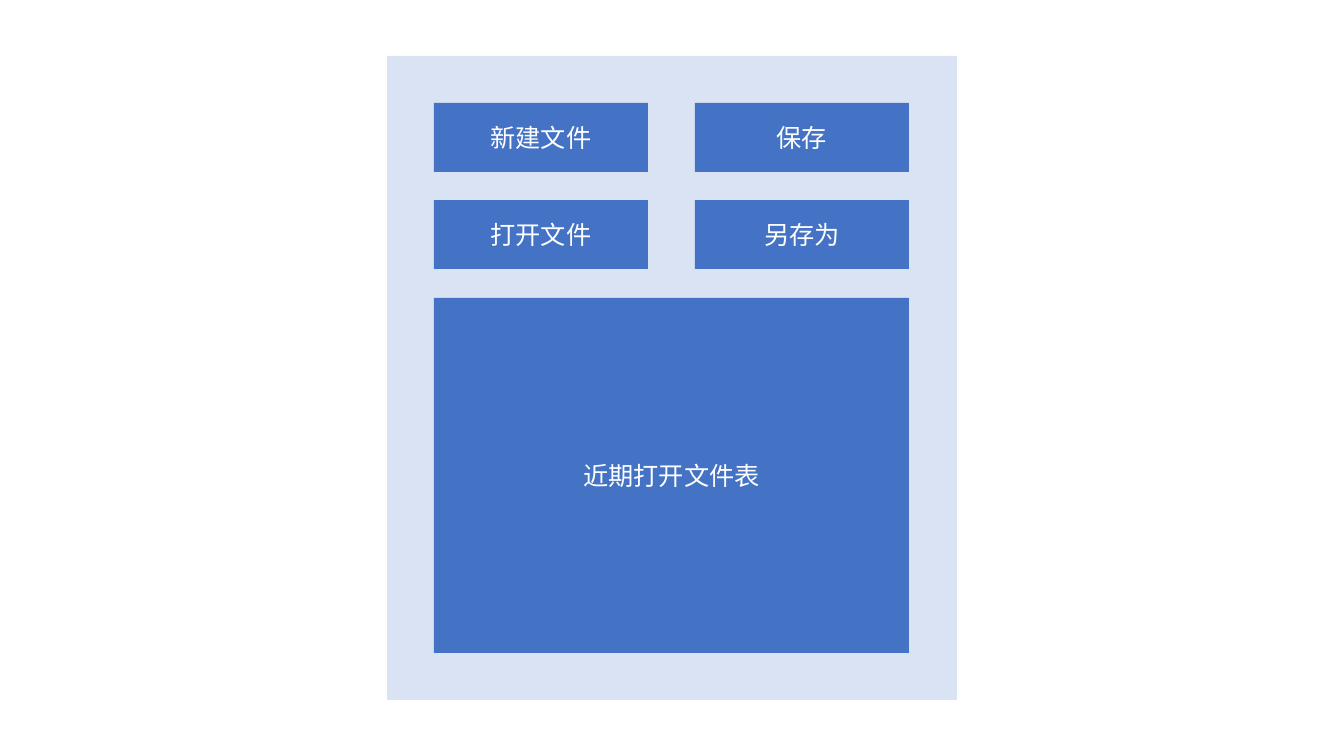
from dataclasses import dataclass

import lxml.etree
import pptx
import pptx.dml.color
import pptx.enum.shapes
import pptx.enum.text
import pptx.oxml.ns
import pptx.shapes.autoshape
import pptx.slide
import pptx.util

SLIDE_WIDTH, SLIDE_HEIGHT = 1344, 756
EMU_PER_PX = pptx.util.Inches(7.5) / SLIDE_HEIGHT

FONT_NAME = "Noto Sans CJK SC"
PANEL_COLOR = pptx.dml.color.RGBColor(0xDA, 0xE3, 0xF3)
BOX_COLOR = pptx.dml.color.RGBColor(0x44, 0x72, 0xC4)
TEXT_COLOR = pptx.dml.color.RGBColor(0xFF, 0xFF, 0xFF)

GRID_LEFT, GRID_TOP = 434, 103
COLUMN_PITCH, ROW_PITCH = 261, 97
BUTTON_WIDTH, BUTTON_HEIGHT = 214, 69
BUTTON_COLUMNS = [["新建文件", "打开文件"], ["保存", "另存为"]]


@dataclass(frozen=True)
class Box:
    left: int
    top: int
    width: int
    height: int
    color: pptx.dml.color.RGBColor = BOX_COLOR
    label: str = ""


def px(length: int) -> pptx.util.Emu:
    return pptx.util.Emu(round(length * EMU_PER_PX))


def write_label(shape: pptx.shapes.autoshape.Shape, label: str) -> None:
    frame = shape.text_frame
    frame.word_wrap = True
    frame.vertical_anchor = pptx.enum.text.MSO_ANCHOR.MIDDLE
    paragraph = frame.paragraphs[0]
    paragraph.text = label
    paragraph.alignment = pptx.enum.text.PP_ALIGN.CENTER
    paragraph.font.size = pptx.util.Pt(18)
    paragraph.font.color.rgb = TEXT_COLOR
    paragraph.font.name = FONT_NAME
    # Chinese text takes its typeface from a:ea
    properties = paragraph._p.pPr.find(pptx.oxml.ns.qn("a:defRPr"))
    lxml.etree.SubElement(properties, pptx.oxml.ns.qn("a:ea"), typeface=FONT_NAME)


def draw_box(slide: pptx.slide.Slide, box: Box) -> None:
    shape = slide.shapes.add_shape(
        pptx.enum.shapes.MSO_SHAPE.RECTANGLE,
        px(box.left), px(box.top), px(box.width), px(box.height),
    )
    shape.shadow.inherit = False
    shape.fill.solid()
    shape.fill.fore_color.rgb = box.color
    shape.line.fill.background()
    if box.label:
        write_label(shape, box.label)


def main() -> None:
    presentation = pptx.Presentation()
    presentation.slide_width = px(SLIDE_WIDTH)
    presentation.slide_height = px(SLIDE_HEIGHT)
    slide = presentation.slides.add_slide(presentation.slide_layouts[6])

    panel = Box(387, 56, 570, 644, PANEL_COLOR)
    recent_files = Box(
        GRID_LEFT, GRID_TOP + 2 * ROW_PITCH + 1,
        COLUMN_PITCH + BUTTON_WIDTH, 355, label="近期打开文件表",
    )
    buttons = [
        Box(
            GRID_LEFT + column * COLUMN_PITCH, GRID_TOP + row * ROW_PITCH,
            BUTTON_WIDTH, BUTTON_HEIGHT, label=label,
        )
        for column, labels in enumerate(BUTTON_COLUMNS)
        for row, label in enumerate(labels)
    ]
    for box in [panel, recent_files, *buttons]:
        draw_box(slide, box)

    presentation.save("out.pptx")


if __name__ == "__main__":
    main()
